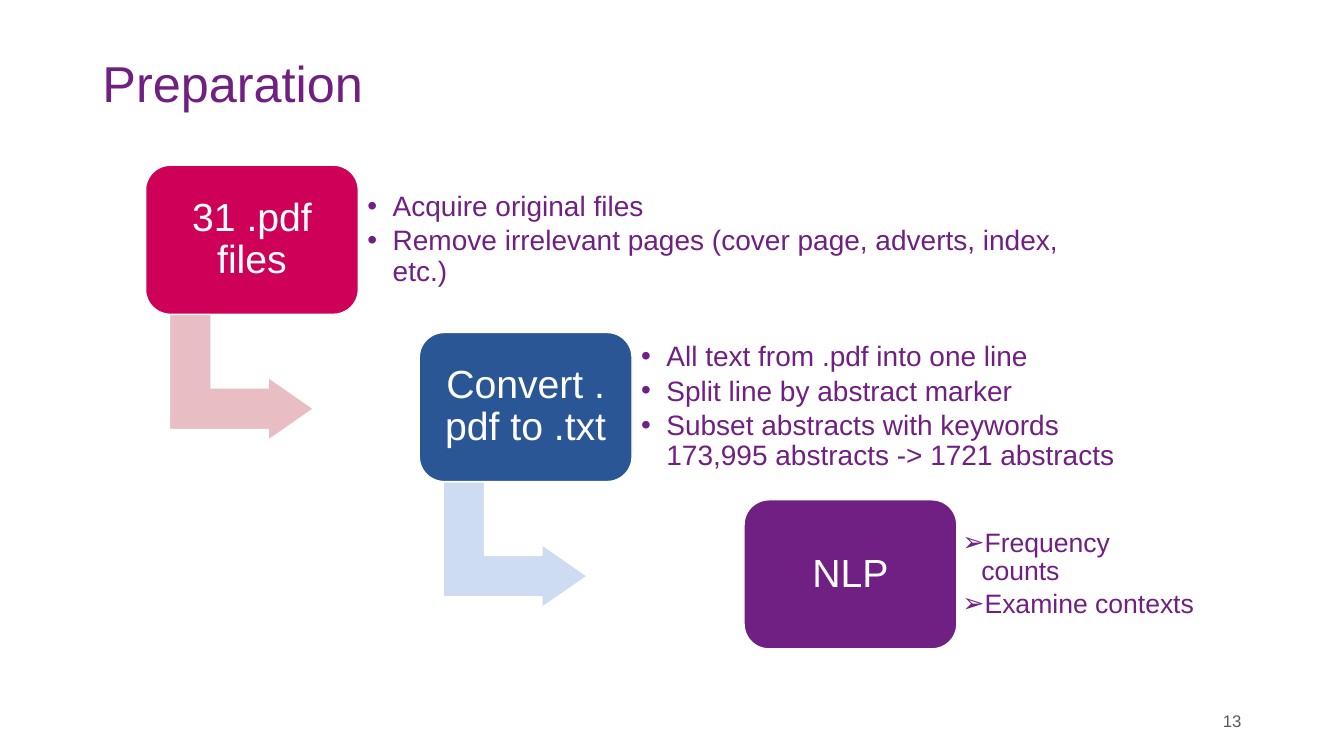
from lxml import etree
from pptx import Presentation
from pptx.dml.color import RGBColor
from pptx.enum import shapes, text
from pptx.oxml import ns
from pptx.util import Pt

COLOURS = {
    "purple": "702082", "magenta": "CE0057", "blue": "2B5696",
    "pink": "E8BDC3", "pale blue": "CEDCF1", "white": "FFFFFF", "grey": "575C59",
}


def write(shape, lines, size, colour, align=text.PP_ALIGN.LEFT, inset=None,
          bullet=None, indent=0, spacing=0.9, after=0):
    """Fill the shape with one paragraph per line, anchored in the middle."""
    frame = shape.text_frame
    frame.word_wrap = True
    frame.auto_size = text.MSO_AUTO_SIZE.NONE
    frame.vertical_anchor = text.MSO_ANCHOR.MIDDLE
    if inset is not None:
        frame.margin_left = frame.margin_right = Pt(inset)
        frame.margin_top = frame.margin_bottom = Pt(inset)
    frame.text = "\n".join(lines)
    for paragraph in frame.paragraphs:
        paragraph.alignment = align
        paragraph.line_spacing = spacing
        paragraph.space_after = Pt(after)
        if bullet:
            props = paragraph._p.get_or_add_pPr()
            props.set("marL", str(Pt(indent)))
            props.set("indent", str(-Pt(indent)))
            etree.SubElement(props, ns.qn("a:buFont"), typeface="Arial")
            etree.SubElement(props, ns.qn("a:buChar"), char=bullet)
        paragraph.font.name = "Arial"
        paragraph.font.size = Pt(size)
        paragraph.font.color.rgb = RGBColor.from_string(COLOURS[colour])


def add_block(kind, left, top, width, height, colour):
    block = slide.shapes.add_shape(kind, Pt(left), Pt(top), Pt(width), Pt(height))
    block.shadow.inherit = False
    block.fill.solid()
    block.fill.fore_color.rgb = RGBColor.from_string(COLOURS[colour])
    block.line.color.rgb = RGBColor.from_string(COLOURS["white"])
    block.line.width = Pt(1)
    return block


deck = Presentation()
deck.slide_width, deck.slide_height = Pt(960), Pt(540)
slide = deck.slides.add_slide(deck.slide_layouts[5])

title = slide.shapes.title
title.left, title.top, title.width, title.height = Pt(66), Pt(40), Pt(785.5), Pt(43.5)
write(title, ["Preparation"], 36, "purple")

STEP_TOP, STEP_PITCH = 118, 119.5
STEP_WIDTH, STEP_HEIGHT = 152, 106.5

# step name, left, colour, arrow colour, details, details width, details format
steps = [
    ("31 .pdf files", 104, "magenta", "pink",
     ["Acquire original files",
      "Remove irrelevant pages (cover page, adverts, index, etc.)"],
     546.5, dict(size=20, bullet="•", indent=18, inset=8)),
    ("Convert .pdf to .txt", 299.5, "blue", "pale blue",
     ["All text from .pdf into one line",
      "Split line by abstract marker",
      "Subset abstracts with keywords 173,995 abstracts -> 1721 abstracts"],
     384.5, dict(size=20, bullet="•", indent=18, inset=8)),
    ("NLP", 531.5, "purple", None,
     ["Frequency counts", "Examine contexts"],
     177, dict(size=19, bullet="➢", indent=13.5, inset=5.5)),
]

for row, (name, left, colour, arrow_colour, details, width, style) in enumerate(steps):
    top = STEP_TOP + row * STEP_PITCH

    if arrow_colour:
        arrow = add_block(shapes.MSO_SHAPE.BENT_UP_ARROW,
                          left + 23.5, top + 100, 90, 103, arrow_colour)
        arrow.rotation = 90
        for index, share in enumerate((0.33, 0.25, 0.36)):
            arrow.adjustments[index] = share

    step = add_block(shapes.MSO_SHAPE.ROUNDED_RECTANGLE,
                     left, top, STEP_WIDTH, STEP_HEIGHT, colour)
    write(step, [name], 28, "white", align=text.PP_ALIGN.CENTER, inset=8.5)

    notes = slide.shapes.add_textbox(Pt(left + 150.5), Pt(top), Pt(width), Pt(STEP_HEIGHT))
    write(notes, details, colour="purple", after=3, **style)

page_number = slide.shapes.add_textbox(Pt(678), Pt(500.5), Pt(216), Pt(29))
write(page_number, ["13"], 12, "grey", align=text.PP_ALIGN.RIGHT, spacing=1.0)

deck.save("out.pptx")
